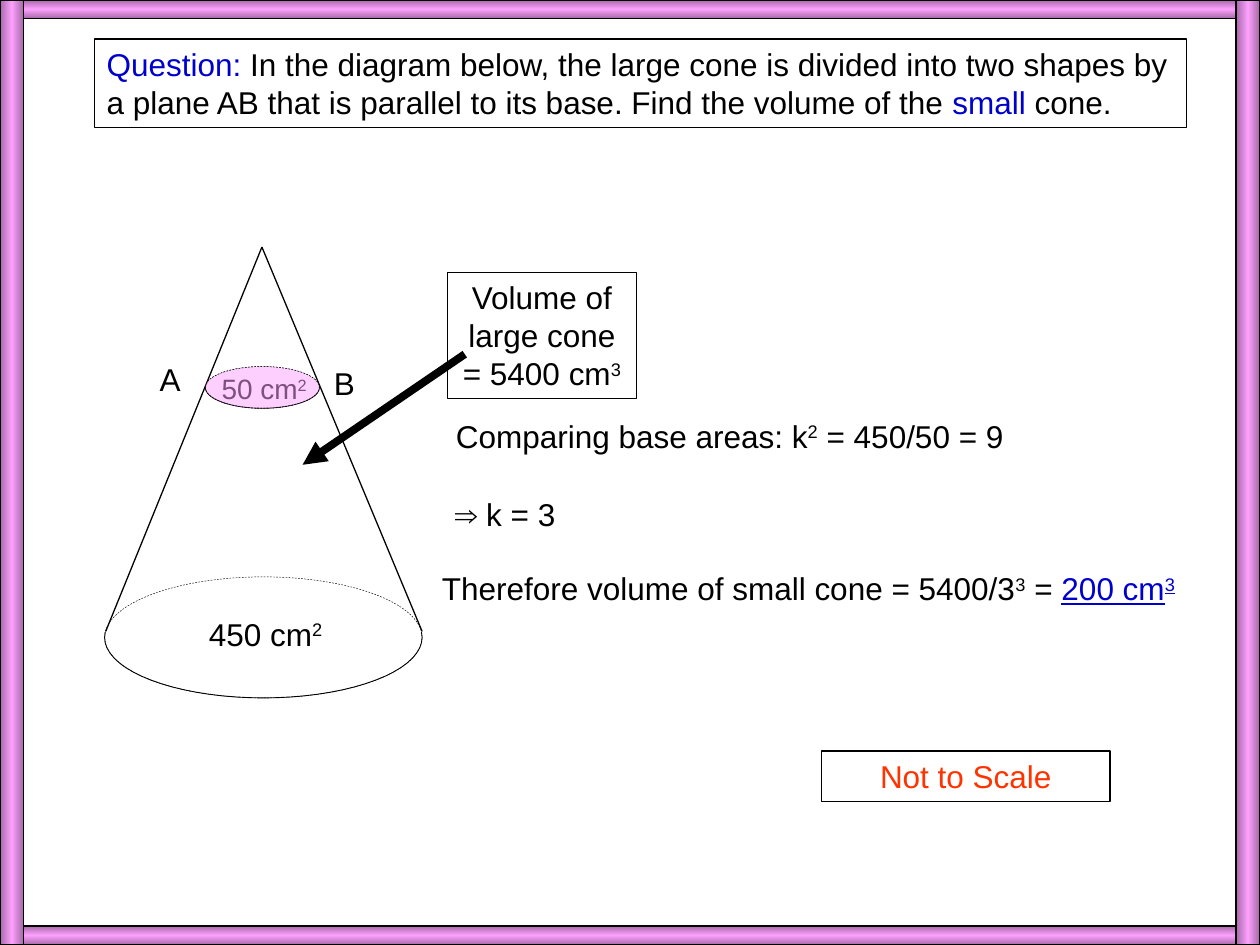
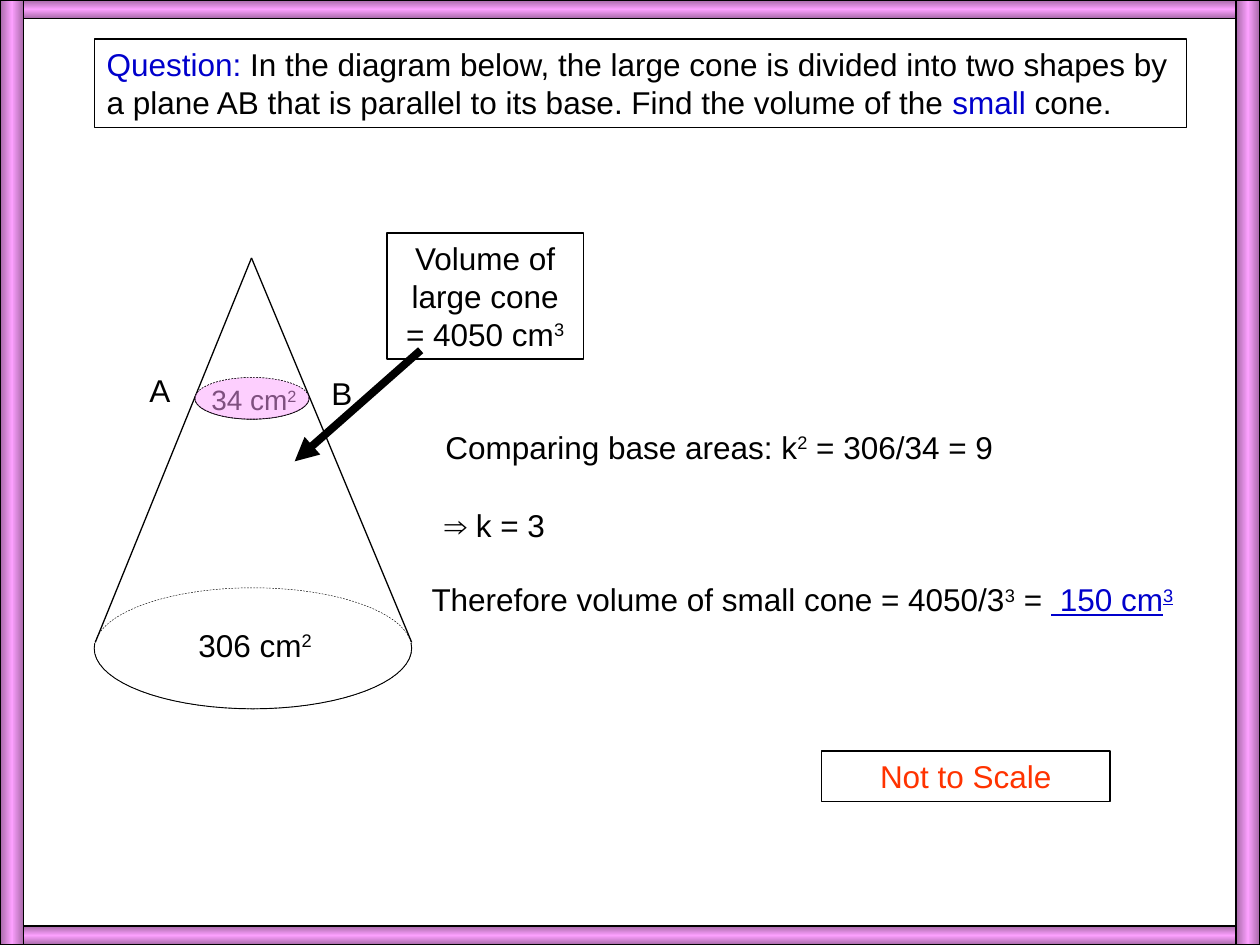
"""Build two worked examples on the volumes of similar cones."""
import copy
import math
from dataclasses import dataclass

import pptx
import pptx.dml.color
import pptx.enum.dml
import pptx.enum.shapes
import pptx.enum.text
import pptx.oxml
import pptx.oxml.ns
import pptx.util
from pptx.dml.color import RGBColor
from pptx.util import Cm

BLACK = RGBColor(0x00, 0x00, 0x00)
BLUE = RGBColor(0x00, 0x00, 0xCC)
RED = RGBColor(0xFF, 0x33, 0x00)
PINK = RGBColor(0xFC, 0xA0, 0xFE)
PURPLE = RGBColor(0xA6, 0x69, 0xA7)

FONT = "Arial"
WIDTH, HEIGHT = 25.4, 19.05
BAND_HEIGHT, BAND_WIDTH = 0.38, 0.48
LINE_HEIGHT = 1.02

SHAPES = pptx.enum.shapes.MSO_SHAPE
CENTER = pptx.enum.text.PP_ALIGN.CENTER
LEFT = pptx.enum.text.PP_ALIGN.LEFT


@dataclass
class Span:
    """A stretch of text with one look."""
    text: str
    color: RGBColor = BLACK
    raised: bool = False
    underlined: bool = False


@dataclass
class Example:
    """The values and places that differ between the slides."""
    small_area: int
    base_area: int
    large_volume: int
    answer: str
    shift: tuple
    b_label: tuple
    volume_box: tuple
    arrow: tuple


EXAMPLES = [
    Example(50, 450, 5400, "200 cm", (0, 0), (6.48, 7.21),
            (9.02, 5.49, 3.81, 2.54), (9.37, 7.14, 6.1, 9.37)),
    Example(34, 306, 4050, " 150 cm", (-0.21, 0.22), (6.43, 7.42),
            (7.8, 4.7, 3.96, 2.54), (8.48, 7.06, 5.94, 9.3)),
]


def set_line(shape, width, dashed=False):
    """Give a shape or connector a black line."""
    shape.line.color.rgb = BLACK
    shape.line.width = pptx.util.Pt(width)
    if dashed:
        shape.line.dash_style = pptx.enum.dml.MSO_LINE.DASH


def add_text(page, place, spans, size=18, align=LEFT, framed=False):
    """Add a box holding one paragraph, with a thin frame if wanted."""
    box = page.shapes.add_textbox(*map(Cm, place))
    if framed:
        set_line(box, 0.75)
    frame = box.text_frame
    frame.word_wrap = True
    frame.auto_size = pptx.enum.text.MSO_AUTO_SIZE.SHAPE_TO_FIT_TEXT
    para = frame.paragraphs[0]
    para.alignment = align
    para.font.name = FONT
    para.font.size = pptx.util.Pt(size)
    for span in spans:
        run = para.add_run()
        run.text = span.text
        run.font.color.rgb = span.color
        if span.underlined:
            run.font.underline = True
        if span.raised:
            run._r.get_or_add_rPr().set("baseline", "30000")


def add_ellipse(page, place):
    """Add a dashed, unfilled ellipse."""
    ellipse = page.shapes.add_shape(SHAPES.OVAL, *map(Cm, place))
    ellipse.shadow.inherit = False
    ellipse.fill.background()
    set_line(ellipse, 0.25, dashed=True)
    return ellipse


def add_front_rim(page, place):
    """Draw the solid lower half of an ellipse."""
    left, top, width, height = place
    points = [(Cm(left + width / 2 * (1 + math.cos(math.radians(angle)))),
               Cm(top + height / 2 * (1 + math.sin(math.radians(angle)))))
              for angle in range(-5, 186, 5)]
    builder = page.shapes.build_freeform(*points[0])
    builder.add_line_segments(points[1:], close=False)
    rim = builder.convert_to_shape()
    rim.shadow.inherit = False
    rim.fill.background()
    set_line(rim, 0.5)


def add_line(page, ends, width=0.75, arrow=False):
    """Add a straight line, with an arrowhead at its end if wanted."""
    line = page.shapes.add_connector(
        pptx.enum.shapes.MSO_CONNECTOR.STRAIGHT, *map(Cm, ends))
    set_line(line, width)
    if arrow:
        head = pptx.oxml.parse_xml(
            f'<a:tailEnd {pptx.oxml.ns.nsdecls("a")} type="triangle"/>')
        line.line._get_or_add_ln().append(head)
    line._element.spPr.append(pptx.oxml.parse_xml(
        f'<a:effectLst {pptx.oxml.ns.nsdecls("a")}/>'))


def add_band(page, place, angle):
    """Add one gradient bar of the frame, light along its middle."""
    band = page.shapes.add_shape(SHAPES.RECTANGLE, *map(Cm, place))
    band.shadow.inherit = False
    band.fill.gradient()
    band.fill.gradient_angle = angle
    for stop in band.fill.gradient_stops:
        stop.color.rgb = PURPLE
    stops = band._element.spPr.find(".//" + pptx.oxml.ns.qn("a:gsLst"))
    stops.insert(1, copy.deepcopy(stops[0]))
    middle = band.fill.gradient_stops[1]
    middle.position = 0.5
    middle.color.rgb = PINK
    set_line(band, 0.75)


def add_frame(page):
    """Add the four bars around the slide."""
    for top in (0, HEIGHT - BAND_HEIGHT):
        add_band(page, (0, top, WIDTH, BAND_HEIGHT), 90)
    for left in (0, WIDTH - BAND_WIDTH):
        add_band(page, (left, 0, BAND_WIDTH, HEIGHT), 0)


def add_example(deck, example):
    """Add a slide with the question, the cone and the solution."""
    page = deck.slides.add_slide(deck.slide_layouts[6])
    across, down = example.shift

    def moved(left, top, *extent):
        return (left + across, top + down, *extent)

    base = moved(2.11, 11.63, 6.4, 2.44)
    section = moved(4.14, 7.39, 2.3, 0.84)
    apex = moved(5.28, 4.98)

    add_ellipse(page, base)
    for corner in (8.51, 2.13):
        add_line(page, moved(corner, 12.73) + apex)
    add_front_rim(page, base)
    add_ellipse(page, section)
    add_front_rim(page, section)

    squared = Span("2", raised=True)
    cubed = Span("3", raised=True)
    add_text(page, moved(3.96, 12.27, 2.97, LINE_HEIGHT),
             [Span(f"{example.base_area} cm"), squared])
    add_text(page, moved(4.22, 7.37, 2.74, 0.94),
             [Span(f"{example.small_area} cm"), squared], size=16)
    add_text(page, moved(2.97, 7.14, 1.75, LINE_HEIGHT), [Span("A")])
    add_text(page, (*example.b_label, 1.75, LINE_HEIGHT), [Span("B")])

    ratio = example.base_area // example.small_area
    add_text(page, moved(8.94, 8.28, 12.73, LINE_HEIGHT),
             [Span("Comparing base areas: k"), squared,
              Span(f" = {example.base_area}/{example.small_area} = {ratio}")])
    scale = math.isqrt(ratio)
    add_text(page, moved(8.92, 9.86, 3.38, LINE_HEIGHT),
             [Span(f"⇒ k = {scale}")])
    add_text(page, moved(8.66, 11.35, 15.9, LINE_HEIGHT),
             [Span("Therefore volume of small cone = "
                   f"{example.large_volume}/{scale}"),
              cubed, Span(" = "),
              Span(example.answer, BLUE, underlined=True),
              Span("3", BLUE, raised=True, underlined=True)])

    add_text(page, (1.9, 0.79, 22.02, 1.78),
             [Span("Question: ", BLUE),
              Span("In the diagram below, the large cone is divided into two "
                   "shapes by a plane AB that is parallel to its base. Find "
                   "the volume of the "),
              Span("small", BLUE), Span(" cone.")], framed=True)
    add_text(page, example.volume_box,
             [Span(f"Volume of large cone = {example.large_volume} cm"),
              cubed], align=CENTER, framed=True)
    add_line(page, example.arrow, width=4.5, arrow=True)
    add_text(page, (16.56, 15.14, 5.82, LINE_HEIGHT),
             [Span("Not to Scale", RED)], align=CENTER, framed=True)
    add_frame(page)

    tint = add_ellipse(page, section)
    tint.fill.solid()
    tint.fill.fore_color.rgb = PINK
    color = tint._element.spPr.find(".//" + pptx.oxml.ns.qn("a:srgbClr"))
    color.append(pptx.oxml.parse_xml(
        f'<a:alpha {pptx.oxml.ns.nsdecls("a")} val="50000"/>'))


def main():
    """Build and save the deck."""
    deck = pptx.Presentation()
    deck.slide_width, deck.slide_height = Cm(WIDTH), Cm(HEIGHT)
    for example in EXAMPLES:
        add_example(deck, example)
    deck.save("out.pptx")


if __name__ == "__main__":
    main()
